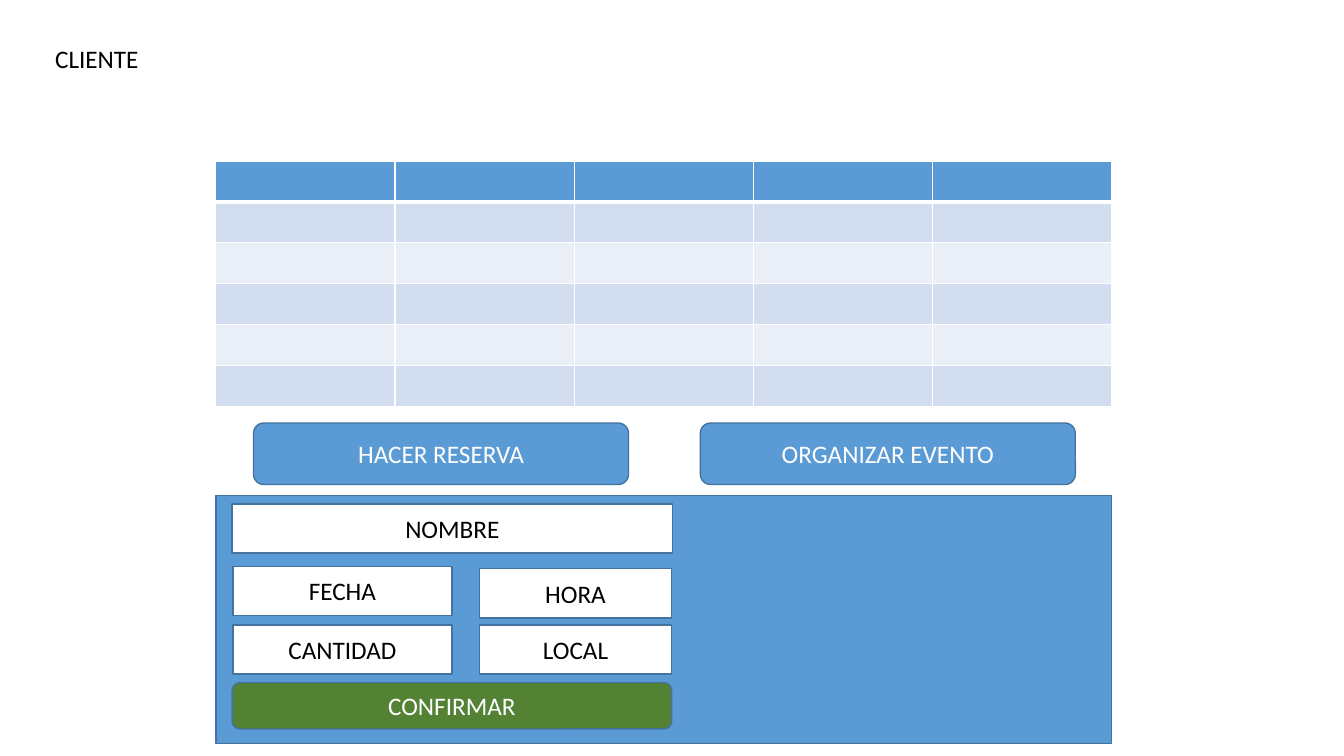
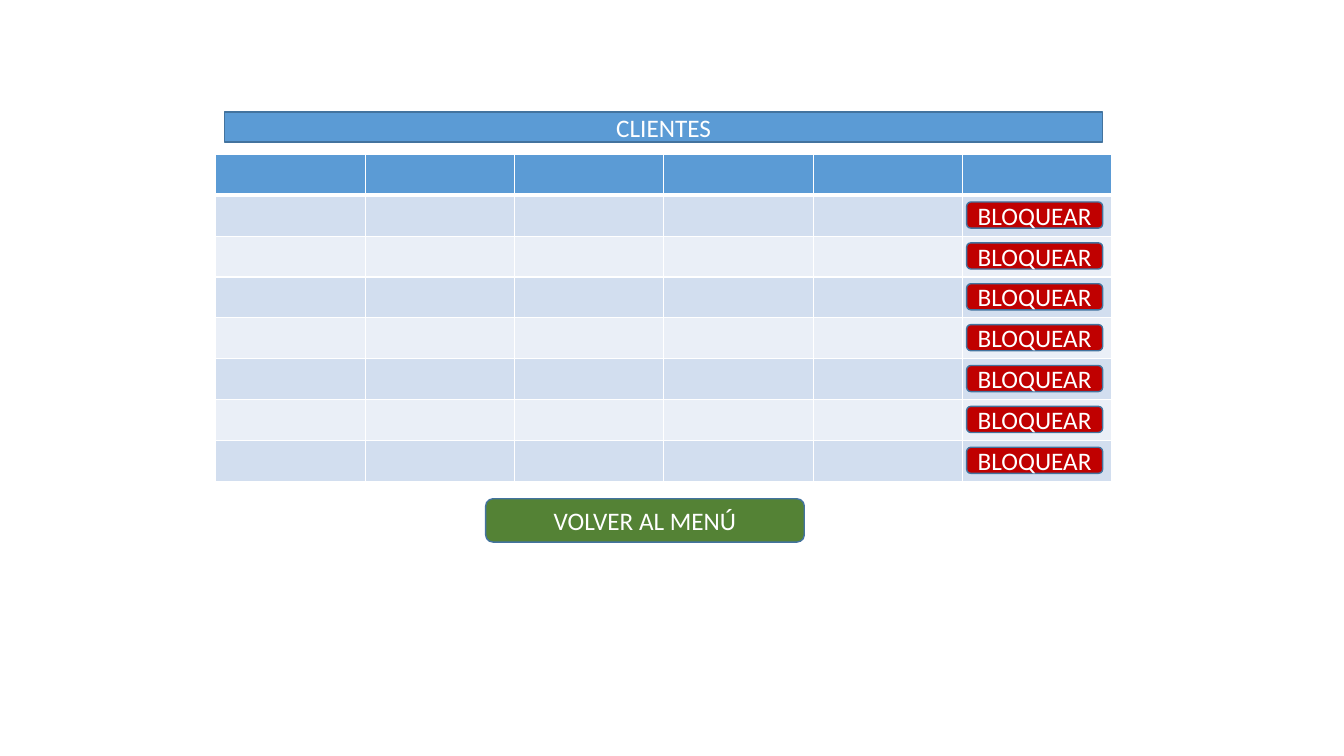
"""Build the client booking screen and the client blocking screen."""
from lxml import etree
from pptx import Presentation
from pptx.dml.color import RGBColor
from pptx.enum.shapes import MSO_SHAPE
from pptx.enum.text import MSO_ANCHOR, MSO_AUTO_SIZE, PP_ALIGN
from pptx.oxml.ns import qn
from pptx.util import Cm, Pt

RECT, ROUNDED = MSO_SHAPE.RECTANGLE, MSO_SHAPE.ROUNDED_RECTANGLE
MIDDLE, CENTER = MSO_ANCHOR.MIDDLE, PP_ALIGN.CENTER
FIT_SHAPE = MSO_AUTO_SIZE.SHAPE_TO_FIT_TEXT

BLUE = RGBColor(0x5B, 0x9B, 0xD5)
OUTLINE = RGBColor(0x43, 0x73, 0x9E)
BAND_DARK = RGBColor(0xD2, 0xDE, 0xEF)
BAND_LIGHT = RGBColor(0xEA, 0xEF, 0xF7)
GREEN = RGBColor(0x54, 0x82, 0x35)
RED = RGBColor(0xC0, 0x00, 0x00)
WHITE = RGBColor(0xFF, 0xFF, 0xFF)
BLACK = RGBColor(0x00, 0x00, 0x00)

FONT_FORMAT = {"name": "Calibri", "size": Pt(18)}
FRAME_FORMAT = {
    "word_wrap": True,
    "vertical_anchor": MIDDLE,
    "margin_left": Cm(0),
    "margin_right": Cm(0),
}
CONTENT_LEFT, CONTENT_WIDTH, ROW_HEIGHT = 5.44, 22.58, 1.03


def add_box(slide, kind, left, top, width, height, fill, label="", color=WHITE):
    box = slide.shapes.add_shape(kind, Cm(left), Cm(top), Cm(width), Cm(height))
    box.shadow.inherit = False
    box.fill.solid()
    box.fill.fore_color.rgb = fill
    box.line.color.rgb = OUTLINE
    box.line.width = Pt(1)
    for key, value in FRAME_FORMAT.items():
        setattr(box.text_frame, key, value)
    if label:
        paragraph = box.text_frame.paragraphs[0]
        paragraph.text = label
        paragraph.alignment = CENTER
        for key, value in FONT_FORMAT.items():
            setattr(paragraph.runs[0].font, key, value)
        paragraph.runs[0].font.color.rgb = color


def add_grid(slide, top, rows, columns):
    grid = slide.shapes.add_table(
        rows, columns, Cm(CONTENT_LEFT), Cm(top), Cm(CONTENT_WIDTH), Cm(rows * ROW_HEIGHT)
    ).table
    for index, row in enumerate(grid.rows):
        band = BAND_DARK if index % 2 else BAND_LIGHT
        for cell in row.cells:
            cell.fill.solid()
            cell.fill.fore_color.rgb = band if index else BLUE
    for header in grid.rows[0].cells:
        rule = etree.Element(qn("a:lnB"), w=str(Pt(3)))
        rule_fill = etree.SubElement(rule, qn("a:solidFill"))
        etree.SubElement(rule_fill, qn("a:srgbClr"), val=str(WHITE))
        header._tc.get_or_add_tcPr().insert(0, rule)


prs = Presentation()
prs.slide_width, prs.slide_height = Cm(33.87), Cm(19.05)
blank = prs.slide_layouts[6]

booking = prs.slides.add_slide(blank)
add_grid(booking, 4.06, 6, 5)
for action, left in (("HACER RESERVA", 6.39), ("ORGANIZAR EVENTO", 17.65)):
    add_box(booking, ROUNDED, left, 10.66, 9.45, 1.55, BLUE, action)

add_box(booking, RECT, CONTENT_LEFT, 12.48, CONTENT_WIDTH, 6.25, BLUE)
form_fields = (
    ("NOMBRE", 5.85, 12.7, 11.1),
    ("FECHA", 5.87, 14.27, 5.52),
    ("HORA", 12.08, 14.33, 4.85),
    ("CANTIDAD", 5.87, 15.75, 5.52),
    ("LOCAL", 12.08, 15.75, 4.85),
)
for field, left, top, width in form_fields:
    add_box(booking, RECT, left, top, width, 1.24, WHITE, field, BLACK)
add_box(booking, ROUNDED, 5.85, 17.2, 11.08, 1.17, GREEN, "CONFIRMAR")

role = booking.shapes.add_textbox(Cm(1.14), Cm(0.97), Cm(2.64), Cm(1.03)).text_frame
role.word_wrap = False
role.auto_size = FIT_SHAPE
role.text = "CLIENTE"
role_font = role.paragraphs[0].runs[0].font
for key, value in FONT_FORMAT.items():
    setattr(role_font, key, value)
role_font.color.rgb = BLACK

clients = prs.slides.add_slide(blank)
table_top, client_count = 3.89, 7
add_grid(clients, table_top, client_count + 1, 6)
for client in range(1, client_count + 1):
    add_box(clients, ROUNDED, 24.36, table_top + client * ROW_HEIGHT + 0.17,
            3.43, 0.66, RED, "BLOQUEAR")
add_box(clients, RECT, 5.66, 2.82, 22.13, 0.76, BLUE, "CLIENTES")
add_box(clients, ROUNDED, 12.24, 12.57, 8.03, 1.09, GREEN, "VOLVER AL MENÚ")

prs.save("out.pptx")
